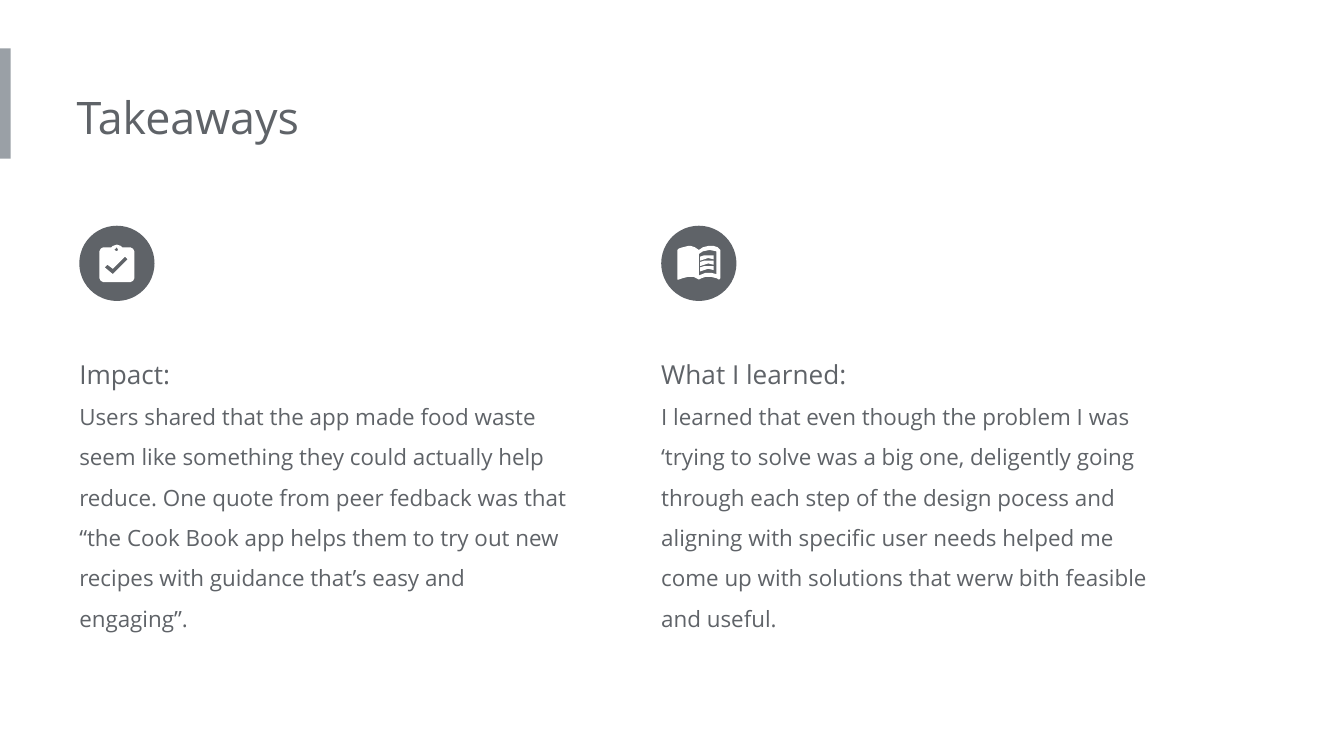
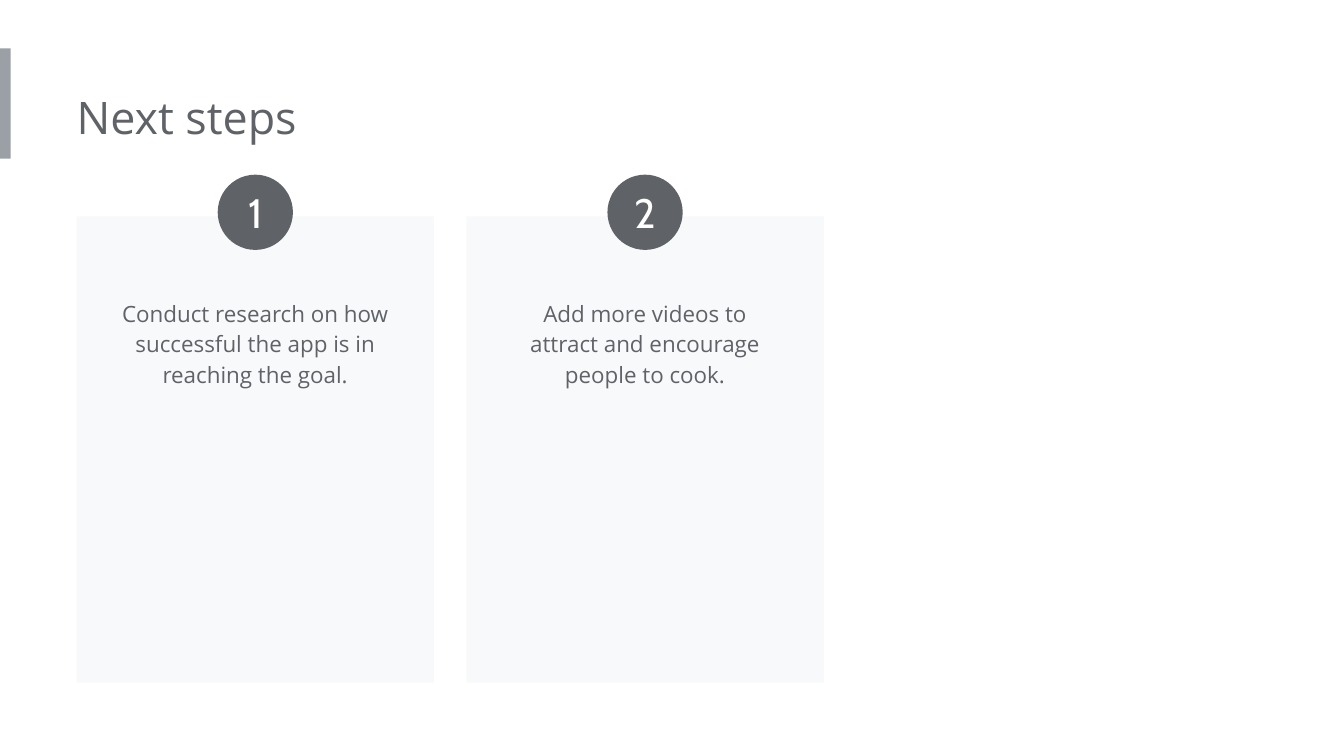
from dataclasses import dataclass

from pptx import Presentation
from pptx.dml.color import RGBColor
from pptx.enum.shapes import MSO_SHAPE
from pptx.enum.text import MSO_ANCHOR, MSO_AUTO_SIZE, PP_ALIGN
from pptx.util import Inches, Pt

RECTANGLE, OVAL = MSO_SHAPE.RECTANGLE, MSO_SHAPE.OVAL
LEFT, CENTER = PP_ALIGN.LEFT, PP_ALIGN.CENTER
MIDDLE = MSO_ANCHOR.MIDDLE
GROW = MSO_AUTO_SIZE.SHAPE_TO_FIT_TEXT


@dataclass(frozen=True)
class Theme:
    """Colours, fonts and type sizes of the deck."""

    ink: RGBColor = RGBColor(0x5F, 0x63, 0x68)
    accent: RGBColor = RGBColor(0x9A, 0xA0, 0xA6)
    card: RGBColor = RGBColor(0xF8, 0xF9, 0xFA)
    white: RGBColor = RGBColor(0xFF, 0xFF, 0xFF)
    text_font: str = "Open Sans"
    number_font: str = "Cabin"
    title: int = 24
    number: int = 22
    heading: int = 14
    body: int = 12


THEME = Theme()
BADGE = 0.56
TITLE_LEFT = 0.57

CLIPBOARD = [[
    [(38, 16), (32, 16), (31, 15), (28, 14), (25, 15), (24, 16), (18, 16),
     (16, 17), (15, 19), (15, 39), (16, 41), (18, 42), (38, 42), (40, 41),
     (41, 39), (41, 19), (40, 17)],
    [(28, 16), (29, 18), (28, 19), (26, 18)],
    [(25, 36), (19, 31), (21, 29), (25, 32), (34, 23), (36, 25)],
]]
BOOK_COVER = [
    [(20, 15), (16, 16), (13, 17), (12, 18), (12, 40), (13, 40), (16, 39),
     (20, 38), (24, 38), (26, 39), (28, 40), (30, 39), (33, 38), (37, 38),
     (41, 39), (43, 40), (44, 39), (44, 18), (42, 16), (39, 15), (35, 15),
     (31, 16), (28, 18), (25, 16), (22, 15)],
    [(36, 18), (41, 19), (41, 36), (37, 35), (33, 35), (28, 37), (28, 21),
     (31, 19)],
]
BOOK_LINE = [(35, 22), (32, 22), (29, 23), (29, 26), (32, 25), (35, 24),
             (39, 25), (39, 22)]
BOOK = [BOOK_COVER] + [
    [[(x, y + drop) for x, y in BOOK_LINE]] for drop in (0, 4, 8)
]

TAKEAWAYS = [
    (CLIPBOARD, "Impact:",
     "Users shared that the app made food waste seem like something they "
     "could actually help reduce. One quote from peer fedback was that “the "
     "Cook Book app helps them to try out new recipes with guidance that’s "
     "easy and engaging”."),
    (BOOK, "What I learned:",
     "I learned that even though the problem I was ‘trying to solve was a big "
     "one, deligently going through each step of the design pocess and "
     "aligning with specific user needs helped me come up with solutions that "
     "werw bith feasible and useful."),
]
NEXT_STEPS = [
    "Conduct research on how successful the app is in reaching the goal.",
    "Add more videos to attract and encourage people to cook.",
]


def paint(shape, color):
    """Give a shape a flat fill without line or shadow."""
    shape.shadow.inherit = False
    shape.fill.solid()
    shape.fill.fore_color.rgb = color
    shape.line.fill.background()


def add_block(slide, preset, box, color):
    """Add a flat preset shape in the box."""
    block = slide.shapes.add_shape(preset, *map(Inches, box))
    paint(block, color)
    return block


def style(paragraph, size, color, font, align, spacing):
    """Set the type of one paragraph."""
    paragraph.alignment = align
    paragraph.line_spacing = spacing
    paragraph.font.size = Pt(size)
    paragraph.font.name = font
    paragraph.font.color.rgb = color


def add_text(slide, box, lines, align=LEFT, spacing=1.0, inset=0):
    """Add a wrapped text box holding (text, size) paragraphs."""
    frame = slide.shapes.add_textbox(*map(Inches, box)).text_frame
    frame.word_wrap = True
    frame.auto_size = GROW
    frame.margin_left = Inches(inset)
    frame.margin_right = frame.margin_top = frame.margin_bottom = Inches(0.1)
    for index, (text, size) in enumerate(lines):
        paragraph = frame.add_paragraph() if index else frame.paragraphs[0]
        paragraph.text = text
        style(paragraph, size, THEME.ink, THEME.text_font, align, spacing)


def add_badge(slide, left, top):
    """Add the dark round badge."""
    return add_block(slide, OVAL, (left, top, BADGE, BADGE), THEME.ink)


def add_icon(slide, left, top, outlines):
    """Draw white outlines, in hundredths of an inch from the badge corner."""
    for contours in outlines:
        builder = slide.shapes.build_freeform(*contours[0][0], scale=Inches(0.01))
        for index, contour in enumerate(contours):
            if index:
                builder.move_to(*contour[0])
            builder.add_line_segments(contour[1:], close=True)
        paint(builder.convert_to_shape(Inches(left), Inches(top)), THEME.white)


def add_titled_slide(deck, title):
    """Add a blank slide with the side band and the title."""
    slide = deck.slides.add_slide(deck.slide_layouts[6])
    add_block(slide, RECTANGLE, (0, 0.36, 0.08, 0.82), THEME.accent)
    add_text(slide, (TITLE_LEFT, 0.57, 5.39, 0.61), [(title, THEME.title)])
    return slide


def add_takeaway(slide, box, icon, heading, body):
    """Place a badge with an icon above a heading and its text."""
    left, top, width, height = box
    text_drop = 0.77
    add_text(slide, (left, top + text_drop, width, height - text_drop),
             [(heading, THEME.heading), (body, THEME.body)], spacing=1.5)
    add_badge(slide, left, top)
    add_icon(slide, left, top, icon)


def add_step(slide, box, number, text):
    """Place a card with a numbered badge over its top edge."""
    left, top, width, height = box
    margin = 0.21
    add_block(slide, RECTANGLE, box, THEME.card)
    add_text(slide, (left + margin, top + 0.49, width - 2 * margin, 0.9),
             [(text, THEME.body)], CENTER, 1.15, 0.1)
    badge = add_badge(slide, left + (width - BADGE) / 2, top - 0.31)
    frame = badge.text_frame
    frame.margin_left = frame.margin_right = 0
    frame.margin_top = frame.margin_bottom = 0
    frame.vertical_anchor = MIDDLE
    frame.text = str(number)
    style(frame.paragraphs[0], THEME.number, THEME.white, THEME.number_font,
          CENTER, 1.0)


def build_takeaways(deck):
    """Build the slide with two takeaway columns."""
    slide = add_titled_slide(deck, "Takeaways")
    for column, takeaway in enumerate(TAKEAWAYS):
        add_takeaway(slide, (0.59 + column * 4.33, 1.68, 3.77, 3.14), *takeaway)


def build_next_steps(deck):
    """Build the slide with numbered step cards."""
    slide = add_titled_slide(deck, "Next steps")
    width, gap = 2.66, 0.24
    for index, text in enumerate(NEXT_STEPS):
        left = TITLE_LEFT + index * (width + gap)
        add_step(slide, (left, 1.61, width, 3.47), index + 1, text)


def main():
    """Build and save the deck."""
    deck = Presentation()
    deck.slide_width, deck.slide_height = Inches(10), Inches(10 * 9 / 16)
    build_takeaways(deck)
    build_next_steps(deck)
    deck.save("out.pptx")


if __name__ == "__main__":
    main()
